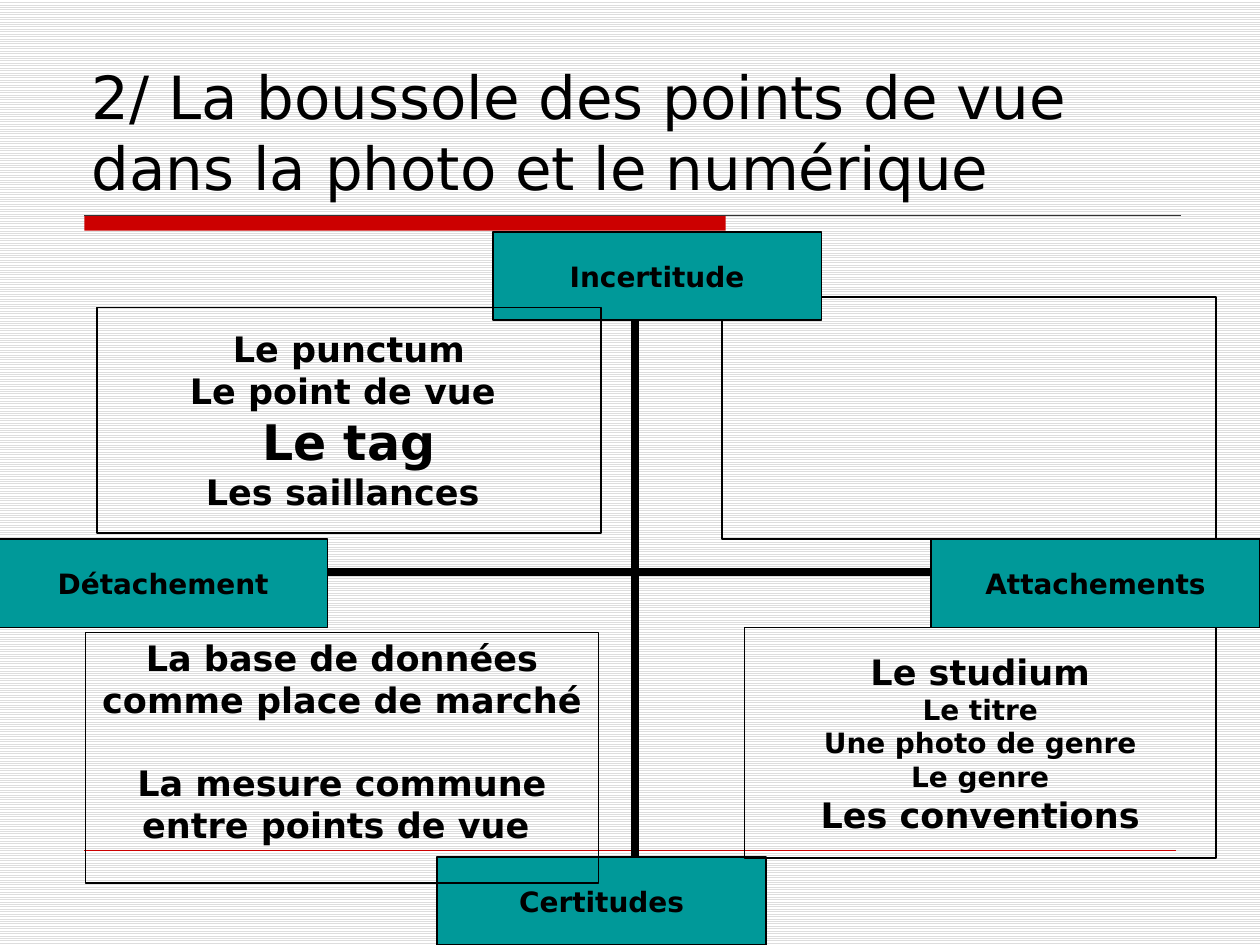
from lxml import etree
from pptx import Presentation
from pptx.dml.color import RGBColor
from pptx.enum.dml import MSO_PATTERN
from pptx.enum.shapes import MSO_CONNECTOR, MSO_SHAPE
from pptx.enum.text import MSO_ANCHOR, PP_ALIGN
from pptx.oxml.ns import qn
from pptx.util import Inches, Pt

RECTANGLE = MSO_SHAPE.RECTANGLE
STRAIGHT = MSO_CONNECTOR.STRAIGHT
STRIPES = MSO_PATTERN.LIGHT_HORIZONTAL
LEFT, CENTER = PP_ALIGN.LEFT, PP_ALIGN.CENTER
TOP, MIDDLE, BOTTOM = MSO_ANCHOR.TOP, MSO_ANCHOR.MIDDLE, MSO_ANCHOR.BOTTOM
FONT = "DejaVu Sans"
BLACK, RED, TEAL = "000000", "CC0000", "009999"


def color(value):
    return RGBColor.from_string(value)


def write(box, lines, anchor=MIDDLE, align=CENTER, bold=True, inset=(0.07, 0.03)):
    """Fill a box with lines given as (text, size, space before)."""
    frame = box.text_frame
    frame.word_wrap = True
    frame.vertical_anchor = anchor
    frame.margin_left = frame.margin_right = Inches(inset[0])
    frame.margin_top = frame.margin_bottom = Inches(inset[1])
    for index, (text, size, gap) in enumerate(lines):
        para = frame.paragraphs[0] if index == 0 else frame.add_paragraph()
        para.text = text
        para.alignment = align
        para.space_before = Pt(gap)
        for span in para.runs:
            span.font.name = FONT
            span.font.size = Pt(size)
            span.font.bold = bold
            span.font.color.rgb = color(BLACK)


deck = Presentation()
deck.slide_width, deck.slide_height = Inches(10), Inches(7.5)
page = deck.slides.add_slide(deck.slide_layouts[6])
shapes = page.shapes

# Striped background
backdrop = page.background.fill
backdrop.patterned()
backdrop.pattern = STRIPES
backdrop.fore_color.rgb = color("DDDDDD")
backdrop.back_color.rgb = color("FFFFFF")

# Red bar under the title
bar = shapes.add_shape(RECTANGLE, Inches(0.67), Inches(1.71), Inches(5.09), Inches(0.12))
bar.shadow.inherit = False
bar.fill.solid()
bar.fill.fore_color.rgb = color(RED)
bar.line.fill.background()

# Rules, then the two axes of the compass: ends, colour, width, arrows
lines = [
    (0.67, 1.71, 9.37, 1.71, "333333", 0.75, False),
    (0.67, 6.75, 9.33, 6.75, RED, 0.25, False),
    (5.04, 2.28, 5.04, 7.06, BLACK, 4.5, True),
    (2.25, 4.54, 7.82, 4.54, BLACK, 4.5, True),
]
for x1, y1, x2, y2, ink, width, arrows in lines:
    line = shapes.add_connector(STRAIGHT, Inches(x1), Inches(y1), Inches(x2), Inches(y2))
    line.line.color.rgb = color(ink)
    line.line.width = Pt(width)
    if arrows:
        for end in ("a:headEnd", "a:tailEnd"):
            etree.SubElement(line.line._get_or_add_ln(), qn(end), type="triangle")
    etree.SubElement(line._element.spPr, qn("a:effectLst"))

# Title
title = shapes.add_textbox(Inches(0.63), Inches(0.33), Inches(8.75), Inches(1.33))
write(title, [("2/ La boussole des points de vue \vdans la photo et le numérique", 34, 0)],
      anchor=BOTTOM, align=LEFT, bold=False, inset=(0.1, 0.05))

# Boxes from back to front: place, fill, anchor, lines
boxes = [
    (5.73, 2.36, 3.92, 1.92, None, MIDDLE, []),
]
poles = [("Incertitude", 3.91, 1.84), ("Certitudes", 3.47, 6.8),
         ("Attachements", 7.39, 4.28), ("Détachement", -0.01, 4.28)]
for name, left, top in poles:
    boxes.append((left, top, 2.61, 0.7, TEAL, MIDDLE, [(name, 16, 0)]))
boxes += [
    (0.77, 2.44, 4, 1.79, None, MIDDLE,
     [("Le punctum", 20, 0), ("Le point de vue ", 20, 0),
      ("Le tag", 28, 0), ("Les saillances ", 20, 0)]),
    (5.91, 4.98, 3.74, 1.83, None, MIDDLE,
     [("Le studium", 20, 0), ("Le titre", 16, 0), ("Une photo de genre", 16, 0),
      ("Le genre", 16, 0), ("Les conventions", 20, 0)]),
    (0.68, 5.02, 4.07, 1.99, None, TOP,
     [("La base de données comme place de marché", 20, 0),
      ("La mesure commune", 20, 23.5), ("entre points de vue ", 20, 0)]),
]
for left, top, width, height, fill, anchor, content in boxes:
    box = shapes.add_shape(RECTANGLE, Inches(left), Inches(top), Inches(width), Inches(height))
    box.shadow.inherit = False
    if fill:
        box.fill.solid()
        box.fill.fore_color.rgb = color(fill)
    else:
        box.fill.background()
    box.line.color.rgb = color(BLACK)
    box.line.width = Pt(1)
    write(box, content, anchor=anchor)

deck.save("out.pptx")
